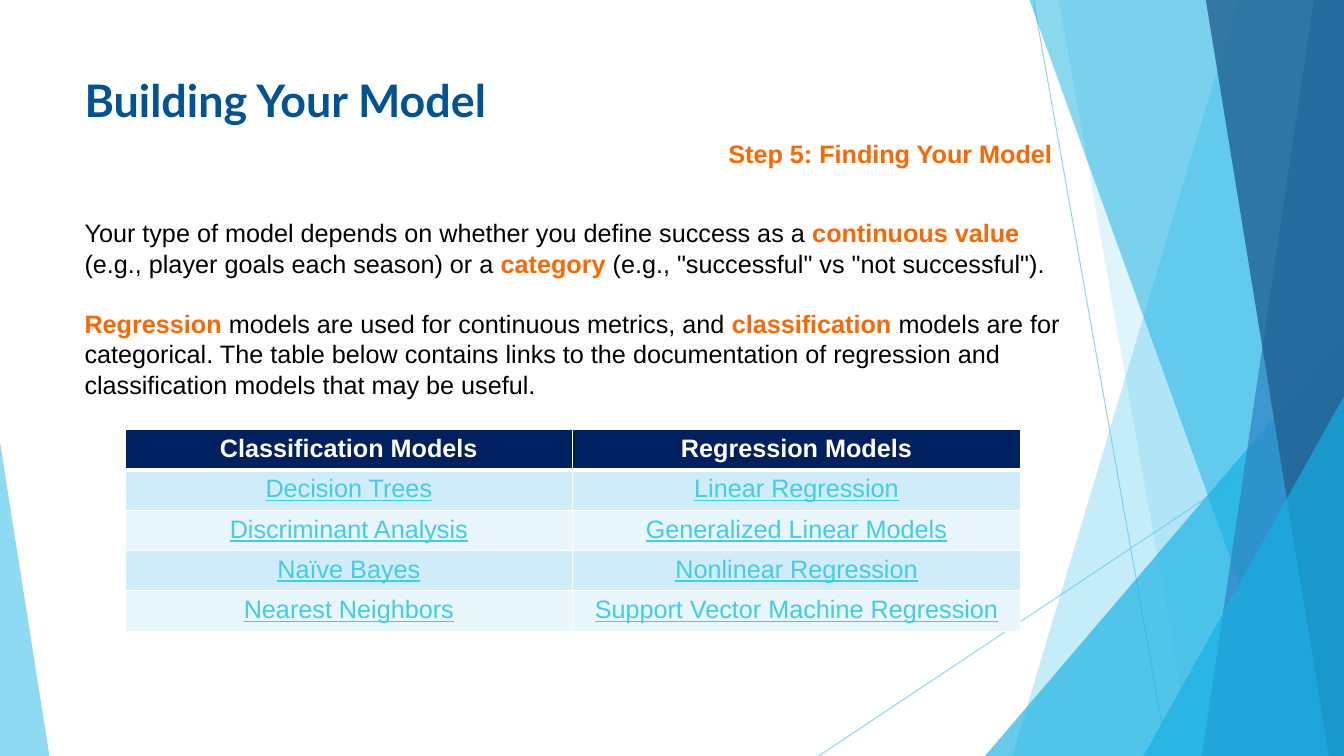
import pptx
import pptx.dml.color
import pptx.enum.shapes
import pptx.enum.text
import pptx.oxml
import pptx.oxml.ns
import pptx.util
from pptx.util import Inches

WIDTH, HEIGHT = 13.33, 7.5
SKY, CYAN, ORANGE = "5FCBEF", "16B0E3", "FF6600"
CENTER = pptx.enum.text.PP_ALIGN.CENTER

# Top edge x, bottom edge x, colour, opacity; each band reaches the right edge
BANDS = [
    (12.28, 10.04, SKY, 36),
    (10.5, 11.83, SKY, 20),
    (10.21, 12.91, CYAN, 50),
    (13.03, 11.92, "2E83C3", 70),
    (11.96, 13.18, "226292", 80),
]
MODELS = [
    ("Classification Models", "Regression Models"),
    ("Decision Trees", "Linear Regression"),
    ("Discriminant Analysis", "Generalized Linear Models"),
    ("Naïve Bayes", "Nonlinear Regression"),
    ("Nearest Neighbors", "Support Vector Machine Regression"),
]


def rgb(color):
    return pptx.dml.color.RGBColor.from_string(color)


def set_opacity(fill_parent, percent):
    color = fill_parent.find(".//" + pptx.oxml.ns.qn("a:srgbClr"))
    pptx.oxml.ns.qn("a:alpha")
    alpha = color.makeelement(pptx.oxml.ns.qn("a:alpha"), {"val": str(percent * 1000)})
    color.append(alpha)


def paint(sp, color, opacity):
    sp.shadow.inherit = False
    sp.fill.solid()
    sp.fill.fore_color.rgb = rgb(color)
    sp.line.fill.background()
    set_opacity(sp.element.spPr, opacity)


def add_line(slide, x1, y1, x2, y2):
    line = slide.shapes.add_connector(
        pptx.enum.shapes.MSO_CONNECTOR.STRAIGHT,
        Inches(x1), Inches(y1), Inches(x2), Inches(y2))
    line.line.color.rgb = rgb(SKY)
    line.line.width = pptx.util.Pt(0.75)
    spPr = line.element.spPr
    set_opacity(spPr, 70)
    spPr.append(spPr.makeelement(pptx.oxml.ns.qn("a:effectLst"), {}))


def add_band(slide, top_x, bottom_x, color, opacity):
    builder = slide.shapes.build_freeform(Inches(top_x), 0)
    corners = [(WIDTH, 0), (WIDTH, HEIGHT), (bottom_x, HEIGHT)]
    builder.add_line_segments([(Inches(x), Inches(y)) for x, y in corners])
    paint(builder.convert_to_shape(), color, opacity)


def add_triangle(slide, left, top, width, apex, color, opacity):
    """Draw a triangle standing on the bottom edge; apex runs from 0 (left) to 1."""
    sp = slide.shapes.add_shape(
        pptx.enum.shapes.MSO_SHAPE.ISOSCELES_TRIANGLE,
        Inches(left), Inches(top), Inches(width), Inches(HEIGHT - top))
    sp.adjustments[0] = apex
    paint(sp, color, opacity)


def add_run(p, text, size=18, font="Arial", color="000000", bold=False, underline=False):
    r = p.add_run()
    r.text = text
    r.font.size = pptx.util.Pt(size)
    r.font.name = font
    r.font.color.rgb = rgb(color)
    r.font.bold = bold
    r.font.underline = underline


def add_text_box(slide, left, top, width, height):
    box = slide.shapes.add_textbox(Inches(left), Inches(top), Inches(width), Inches(height))
    box.text_frame.word_wrap = True
    return box.text_frame


def add_mixed_text(p, parts):
    """Write the parts in turn; those marked True are bold orange."""
    for text, strong in parts:
        add_run(p, text, color=ORANGE if strong else "000000", bold=strong)


def set_borders(cell, bottom, top):
    tcPr = cell._tc.get_or_add_tcPr()
    widths = {"lnL": 1, "lnR": 1, "lnT": top, "lnB": bottom}
    for i, (tag, width) in enumerate(widths.items()):
        tcPr.insert(i, pptx.oxml.parse_xml(
            f'<a:{tag} {pptx.oxml.ns.nsdecls("a")} w="{pptx.util.Pt(width)}">'
            f'<a:solidFill><a:srgbClr val="FFFFFF"/></a:solidFill></a:{tag}>'))


def add_model_table(slide):
    row_height, col_width = 0.4, 4.44
    table = slide.shapes.add_table(
        len(MODELS), 2, Inches(1.24), Inches(4.26),
        Inches(2 * col_width), Inches(len(MODELS) * row_height)).table
    for i, row in enumerate(MODELS):
        header = i == 0
        fill = "002060" if header else ("E9F6FC", "D1ECF9")[i % 2]
        for j, text in enumerate(row):
            cell = table.cell(i, j)
            cell.fill.solid()
            cell.fill.fore_color.rgb = rgb(fill)
            set_borders(cell, bottom=3 if header else 1, top=3 if i == 1 else 1)
            p = cell.text_frame.paragraphs[0]
            p.alignment = CENTER
            add_run(p, text, color="FFFFFF" if header else "3FCDE7",
                    bold=header, underline=not header)


def add_background(slide):
    add_line(slide, 10.25, 0, 11.58, HEIGHT)
    add_line(slide, WIDTH, 4.03, 8.12, HEIGHT)
    for band in BANDS[:2]:
        add_band(slide, *band)
    add_triangle(slide, 9.77, 3.33, 3.56, 1, CYAN, 66)
    for band in BANDS[2:]:
        add_band(slide, *band)
    add_triangle(slide, 11.34, 3.93, 1.99, 1, CYAN, 66)
    add_triangle(slide, 0, 4.39, 0.49, 0, SKY, 70)


def add_body(slide):
    tf = add_text_box(slide, 0.74, 2.11, 9.96, 1.92)
    add_mixed_text(tf.paragraphs[0], [
        ("Your type of model depends on whether you define success as a ", False),
        ("continuous value", True),
        (" (e.g., player goals each season) or a ", False),
        ("category", True),
        (' (e.g., "successful" vs "not successful").', False),
    ])
    p = tf.add_paragraph()
    p.space_before = pptx.util.Pt(21.6)
    add_mixed_text(p, [
        ("Regression", True),
        (" models are used for continuous metrics, and ", False),
        ("classification ", True),
        ("models are for categorical. The table below contains links to the "
         "documentation of regression and classification models that may be useful.", False),
    ])


def main():
    prs = pptx.Presentation()
    prs.slide_width, prs.slide_height = Inches(WIDTH), Inches(HEIGHT)
    slide = prs.slides.add_slide(prs.slide_layouts[6])
    add_background(slide)
    title = add_text_box(slide, 0.74, 0.67, 9.6, 1.44).paragraphs[0]
    add_run(title, "Building Your Model", size=32, font="Lato", color="005496", bold=True)
    step = add_text_box(slide, 7.03, 1.32, 3.67, 0.48).paragraphs[0]
    step.alignment = CENTER
    add_run(step, "Step 5: Finding Your Model ", color=ORANGE, bold=True)
    add_body(slide)
    add_model_table(slide)
    prs.save("out.pptx")


if __name__ == "__main__":
    main()
